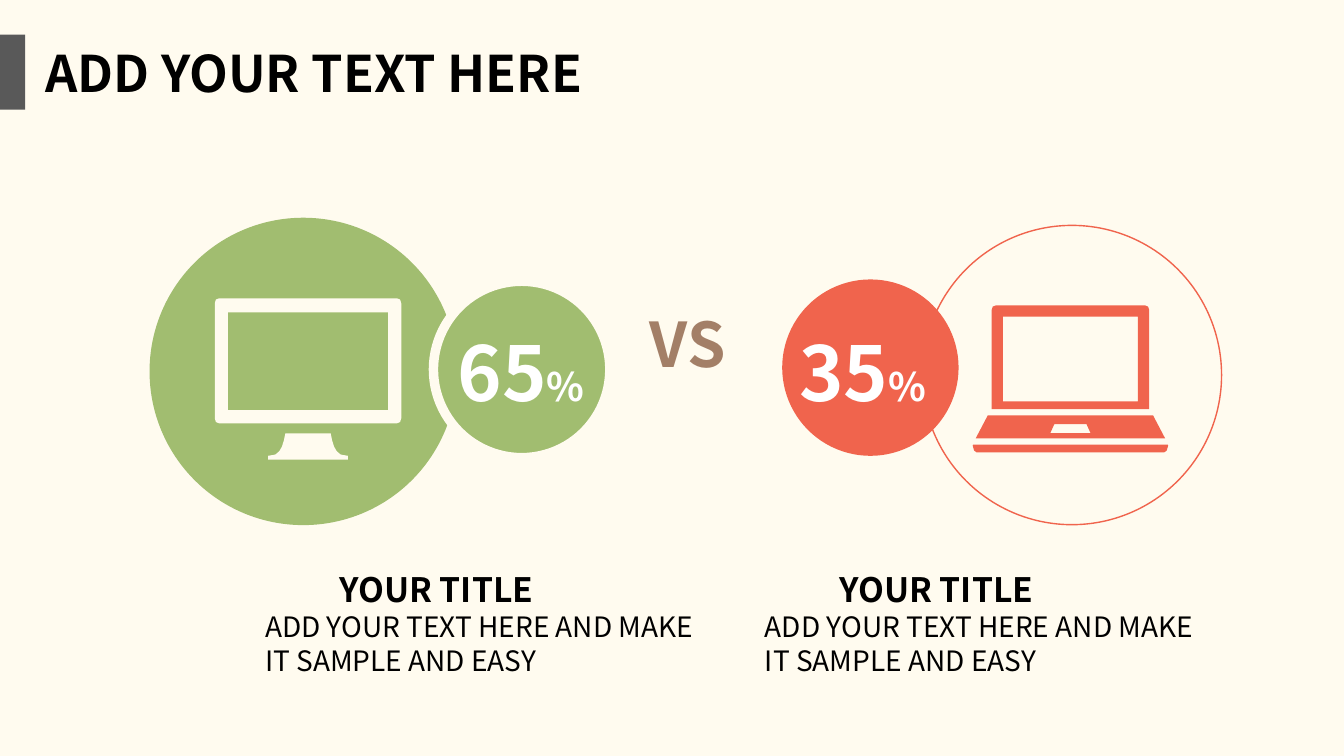
from pptx import Presentation
from pptx import util as u
from pptx.dml.color import RGBColor
from pptx.enum import shapes, text

HUES = {"cream": "FFFBEF", "green": "A1BD70", "coral": "F0644D",
        "brown": "A37F67", "gray": "595959", "black": "000000",
        "white": "FFFFFF"}
FACE = "Noto Sans CJK SC"
OVAL = shapes.MSO_SHAPE.OVAL
RECT = shapes.MSO_SHAPE.RECTANGLE


def hue(name):
    return RGBColor.from_string(HUES[name])


class Board:
    """Holds the style and the slide being drawn; lengths are in points."""

    def __init__(self, deck):
        self.slide = deck.slides.add_slide(deck.slide_layouts[5])
        self.items = self.slide.shapes
        back = self.slide.background.fill
        back.solid()
        back.fore_color.rgb = hue("cream")

    def paint(self, item, fill=None, line=None, width=1):
        item.shadow.inherit = False
        if fill:
            item.fill.solid()
            item.fill.fore_color.rgb = hue(fill)
        else:
            item.fill.background()
        if line:
            item.line.color.rgb = hue(line)
            item.line.width = u.Pt(width)
        else:
            item.line.fill.background()

    def shape(self, kind, box, **style):
        item = self.items.add_shape(kind, *map(u.Pt, box))
        self.paint(item, **style)

    def icon(self, mid, parts, fill):
        """Draw outlines mirrored about x = mid; each point is (half width, y)."""
        pen = None
        for part in parts:
            right = [(u.Pt(mid + half), u.Pt(y)) for half, y in part]
            left = [(u.Pt(mid - half), u.Pt(y)) for half, y in reversed(part)]
            start, *rest = right + left
            if pen is None:
                pen = self.items.build_freeform(*start)
            else:
                pen.move_to(*start)
            pen.add_line_segments(rest, close=True)
        self.paint(pen.convert_to_shape(), fill=fill)

    def set_text(self, item, runs, color, wrap=False):
        """Fill a text frame with runs of (words, size, bold)."""
        frame = item.text_frame
        form = {"word_wrap": wrap,
                "auto_size": text.MSO_AUTO_SIZE.SHAPE_TO_FIT_TEXT,
                "vertical_anchor": text.MSO_ANCHOR.TOP}
        for key, value in form.items():
            setattr(frame, key, value)
        para = frame.paragraphs[0]
        para.alignment = text.PP_ALIGN.LEFT
        for words, size, bold in runs:
            run = para.add_run()
            run.text = words
            form = {"name": FACE, "size": u.Pt(size), "bold": bold}
            for key, value in form.items():
                setattr(run.font, key, value)
            run.font.color.rgb = hue(color)

    def label(self, box, runs, color="black", wrap=False):
        item = self.items.add_textbox(*map(u.Pt, box))
        self.set_text(item, runs, color, wrap)

    def title(self, box, words):
        item = self.items.title
        for key, value in zip(("left", "top", "width", "height"), box):
            setattr(item, key, u.Pt(value))
        self.set_text(item, [(words, 36, True)], "black")

    def caption(self, left):
        self.label((left, 432, 320.4, 55.4),
                   [("ADD YOUR TEXT HERE AND MAKE IT SAMPLE AND EASY", 20, False)],
                   wrap=True)
        self.label((left + 53.3, 402.5, 157.7, 36), [("YOUR TITLE", 24, True)])

    def share(self, left, number):
        self.label((left, 229, 108, 72.7),
                   [(number, 54, True), ("%", 28, True)], "white")


SCREEN = [(63.5, 213.1), (65.8, 214), (66.6, 216.7),
          (66.6, 298.8), (65.8, 301.5), (63.5, 302.4)]
GLASS = [(57.2, 223.2), (57.2, 293)]
STAND = [(16.2, 309.6), (17.2, 314.5), (18.6, 319), (20.5, 322.3),
         (23.3, 324.7), (28.4, 325.6), (28.4, 328.3)]
MONITOR = [SCREEN, GLASS, STAND]

LID = [(53.5, 218.2), (55.5, 219), (56.2, 221.3), (56.2, 292.2)]
PANE = [(48.2, 226.2), (48.2, 286.6)]
KEYS = [(59, 296.6), (67.7, 313.2)]
PAD = [(11.5, 303), (14.4, 309.4)]
FOOT = [(69.5, 317.5), (69.8, 318.3), (68.8, 321.8), (67, 323.1)]
LAPTOP = [LID, PANE, KEYS, PAD, FOOT]


def main():
    deck = Presentation()
    deck.slide_width, deck.slide_height = u.Pt(960), u.Pt(540)
    board = Board(deck)

    board.shape(OVAL, (106.8, 155.5, 219.6, 219.6), fill="green")
    board.icon(220, MONITOR, "cream")
    board.shape(OVAL, (658.8, 161, 213.8, 213.8), line="coral")
    board.icon(764.6, LAPTOP, "coral")

    board.shape(OVAL, (309.6, 200.9, 126, 126),
                fill="green", line="cream", width=6.75)
    board.share(319.7, "65")
    board.shape(OVAL, (558.7, 199.6, 126, 126), fill="coral")
    board.share(563.8, "35")
    board.label((457.2, 215.3, 72.7, 60.5), [("VS", 44, True)], "brown")

    for left in (182.2, 539.3):
        board.caption(left)

    board.shape(RECT, (0, 24.8, 18, 53.6), fill="gray")
    board.title((25.2, 26.6, 428.4, 51.1), "ADD YOUR TEXT HERE")
    deck.save("out.pptx")


if __name__ == "__main__":
    main()
